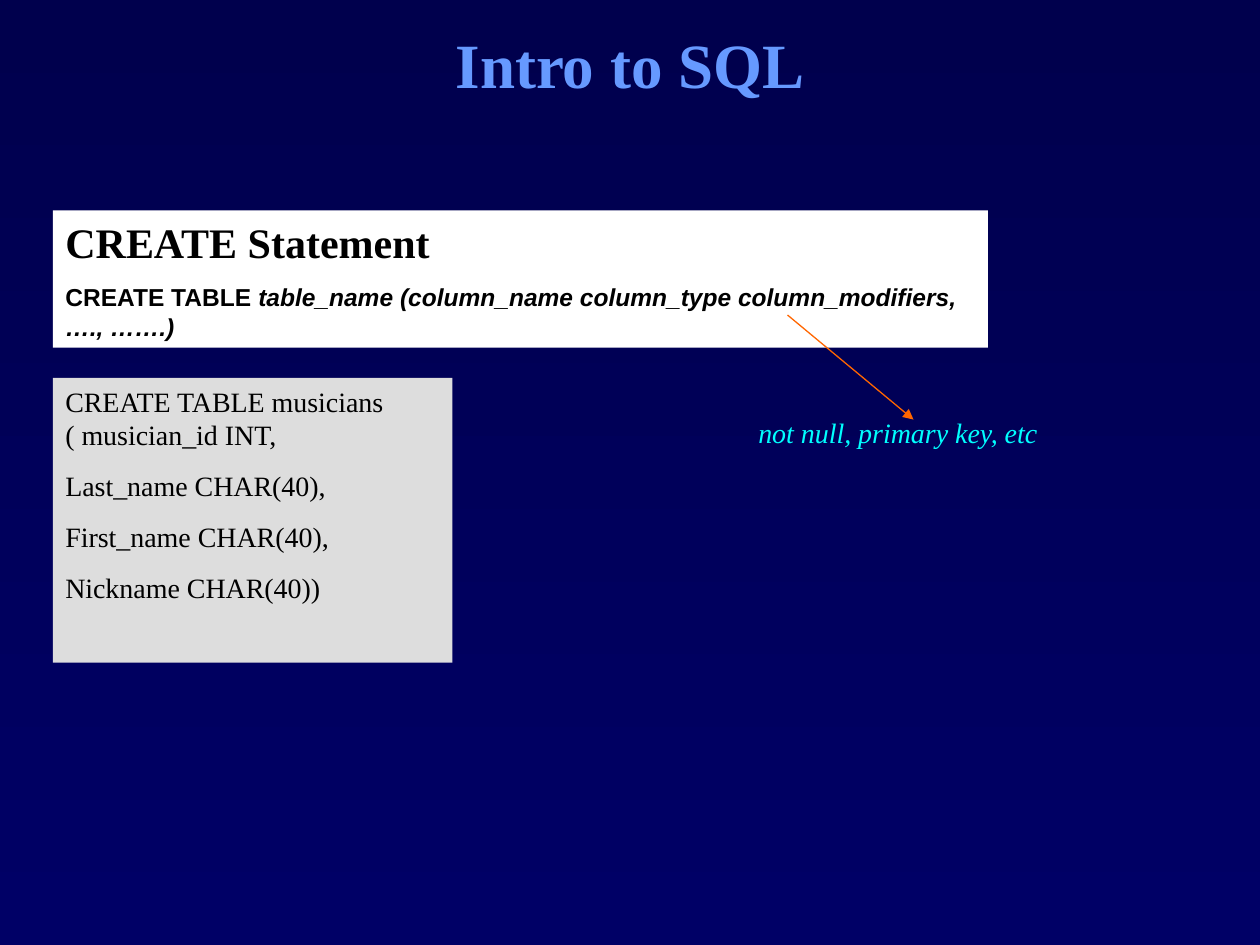
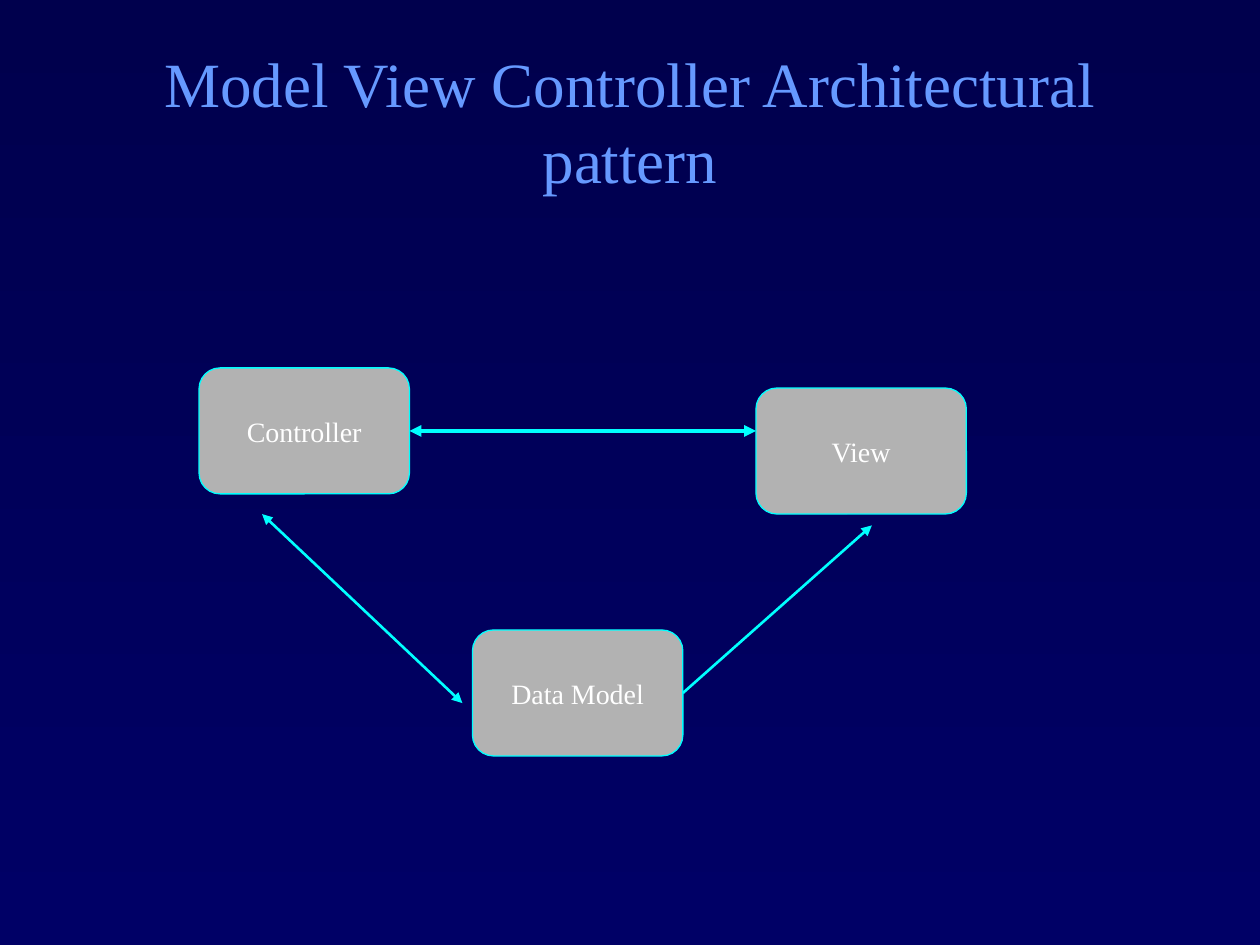
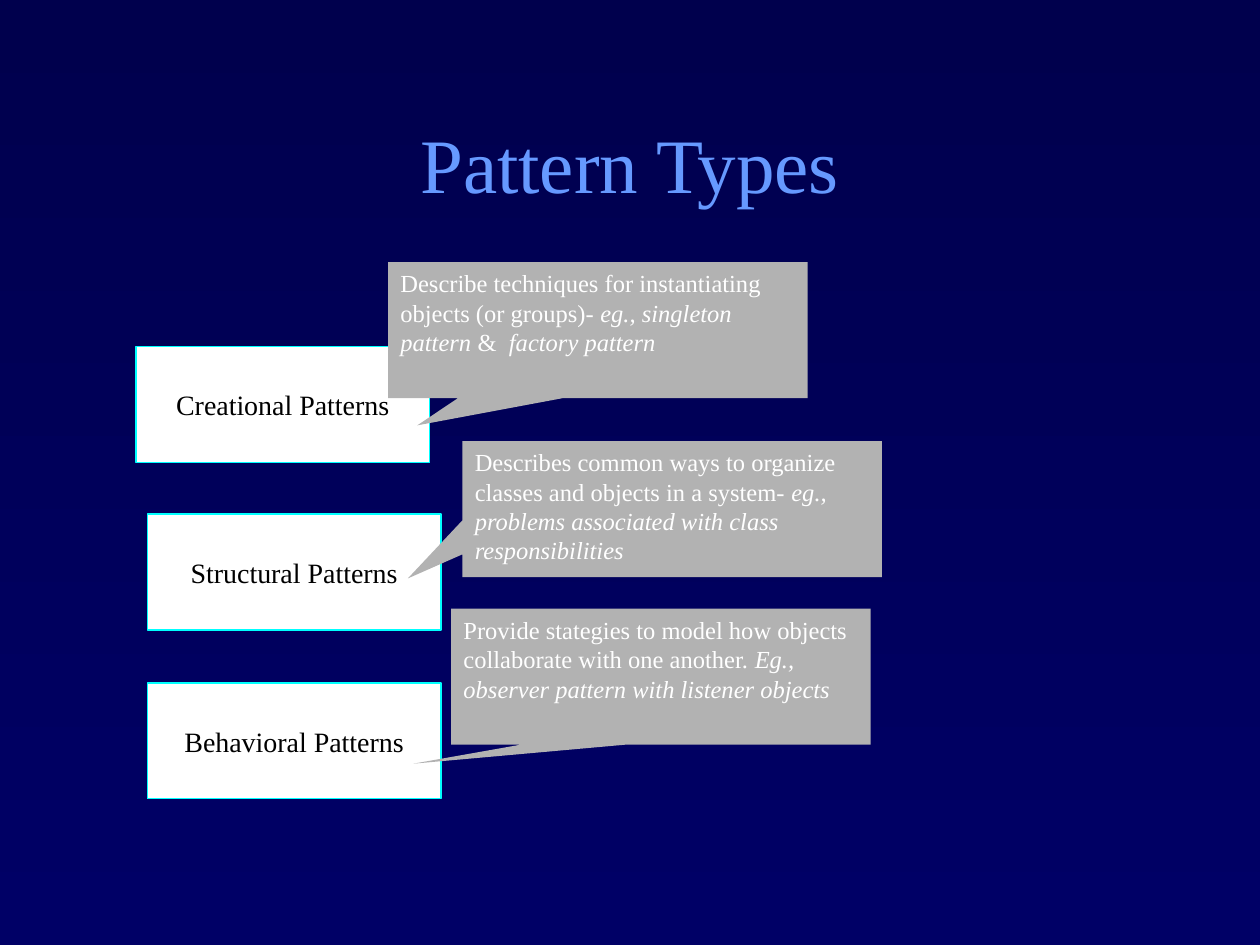
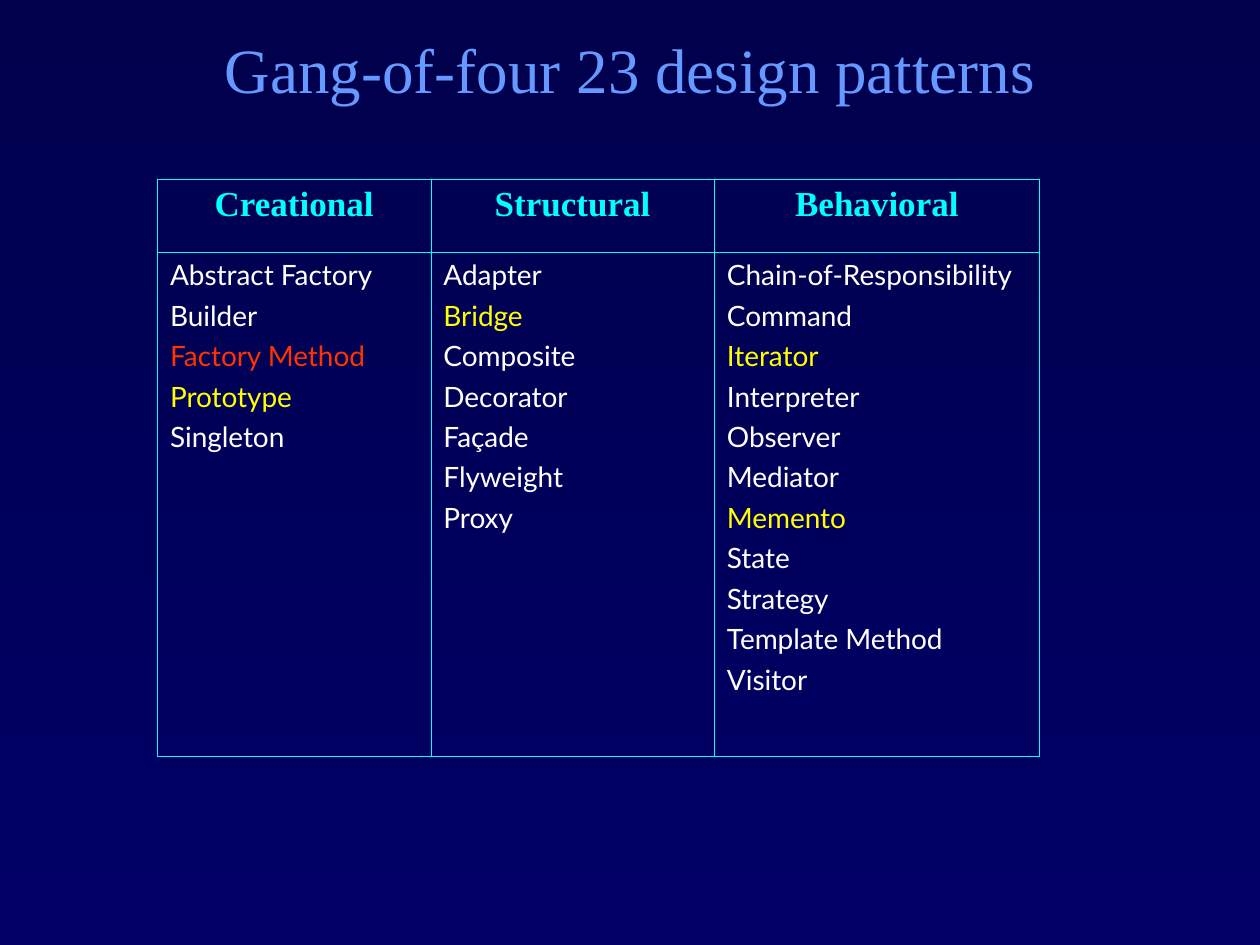
import pptx
import pptx.dml.color
import pptx.enum.shapes
import pptx.enum.text
import pptx.oxml
import pptx.oxml.ns
import pptx.util
from lxml import etree

Inches = pptx.util.Inches
Pt = pptx.util.Pt
Shape = pptx.enum.shapes.MSO_SHAPE
Align = pptx.enum.text.PP_ALIGN
Anchor = pptx.enum.text.MSO_ANCHOR
qn = pptx.oxml.ns.qn

COLORS = {
    "top": "00004D",
    "base": "000066",
    "title": "6699FF",
    "cyan": "00FFFF",
    "white": "FFFFFF",
    "black": "000000",
    "pale": "DDDDDD",
    "gray": "B2B2B2",
    "orange": "FF6600",
    "red": "FF3300",
    "yellow": "FFFF00",
}
SERIF = "Times New Roman"


def rgb(name):
    return pptx.dml.color.RGBColor.from_string(COLORS[name])


class Deck:
    def __init__(self):
        self.show = pptx.Presentation()
        self.show.slide_width = Inches(10)
        self.show.slide_height = Inches(7.5)
        self.slide = None
        fill = self.show.slide_master.background.fill
        fill.gradient()
        fill.gradient_angle = 270
        for stop, name in zip(fill.gradient_stops, ("top", "base")):
            stop.color.rgb = rgb(name)

    def start(self, text, top, height, size=36, bold=False):
        self.slide = self.show.slides.add_slide(self.show.slide_layouts[5])
        title = self.slide.shapes.title
        title.left, title.top = Inches(0.75), Inches(top)
        title.width, title.height = Inches(8.5), Inches(height)
        frame = self.frame(title, Anchor.MIDDLE)
        self.say(frame, [text], size, "title", bold=bold, align=Align.CENTER)

    def frame(self, shape, anchor=Anchor.TOP, wrap=True):
        frame = shape.text_frame
        frame.auto_size = pptx.enum.text.MSO_AUTO_SIZE.NONE
        frame.word_wrap = wrap
        frame.vertical_anchor = anchor
        return frame

    def say(self, frame, parts, size, color, face=SERIF, bold=False,
            italic=False, align=Align.LEFT, before=0):
        par = frame.paragraphs[0]
        if par.runs:
            par = frame.add_paragraph()
        par.alignment = align
        par.space_before = Pt(before)
        par.font.name, par.font.size = face, Pt(size)
        par.font.bold, par.font.italic = bold, italic
        par.font.color.rgb = rgb(color)
        for spot, text in enumerate(parts):
            run = par.add_run()
            run.text = text
            if len(parts) > 1:
                run.font.italic = spot % 2 == 1

    def shape(self, kind, left, top, width, height, fill, line=None):
        shape = self.slide.shapes.add_shape(
            kind, Inches(left), Inches(top), Inches(width), Inches(height))
        shape.shadow.inherit = False
        shape.fill.solid()
        shape.fill.fore_color.rgb = rgb(fill)
        if line:
            shape.line.color.rgb = rgb(line)
            shape.line.width = Pt(0.75)
        else:
            shape.line.fill.background()
        return shape

    def panel(self, left, top, width, height, fill):
        return self.frame(
            self.shape(Shape.RECTANGLE, left, top, width, height, fill))

    def node(self, kind, text, left, top, width, height, fill, color):
        shape = self.shape(kind, left, top, width, height, fill, "cyan")
        frame = self.frame(shape, Anchor.MIDDLE, False)
        self.say(frame, [text], 16, color, align=Align.CENTER)
        return shape

    def callout(self, parts, left, top, tip):
        shape = self.shape(
            Shape.RECTANGULAR_CALLOUT, left, top, 3.33, 1.08, "gray")
        for spot, value in enumerate(tip):
            shape.adjustments[spot] = value
        self.say(self.frame(shape), parts, 14, "white")

    def label(self, text, left, top, width, height):
        box = self.slide.shapes.add_textbox(
            Inches(left), Inches(top), Inches(width), Inches(height))
        self.say(self.frame(box), [text], 16, "cyan", italic=True, before=10)

    def arrow(self, start, end, color, width, both=False, source=None):
        line = self.slide.shapes.add_connector(
            pptx.enum.shapes.MSO_CONNECTOR.STRAIGHT,
            *(Inches(value) for value in (*start, *end)))
        if source is not None:
            line.begin_connect(source, 3)
        line.line.color.rgb = rgb(color)
        line.line.width = Pt(width)
        props = line._element.spPr
        stroke = props.get_or_add_ln()
        for tag in ("a:headEnd", "a:tailEnd") if both else ("a:tailEnd",):
            etree.SubElement(stroke, qn(tag), type="triangle")
        etree.SubElement(props, qn("a:effectLst"))

    def border(self, cell):
        props = cell._tc.get_or_add_tcPr()
        for side in "LRTB":
            line = etree.SubElement(props, qn("a:ln" + side), w=str(Pt(0.45)))
            fill = etree.SubElement(line, qn("a:solidFill"))
            etree.SubElement(fill, qn("a:srgbClr"), val=COLORS["cyan"])

    def table(self, groups, marks, left, top, widths, heights):
        table = self.slide.shapes.add_table(
            2, len(groups), Inches(left), Inches(top),
            Inches(sum(widths)), Inches(sum(heights))).table
        table.first_row = table.horz_banding = False
        for row, height in zip(table.rows, heights):
            row.height = Inches(height)
        for spot, (head, names) in enumerate(groups.items()):
            table.columns[spot].width = Inches(widths[spot])
            for row in range(2):
                cell = table.cell(row, spot)
                self.border(cell)
                cell.fill.background()
            self.say(table.cell(0, spot).text_frame, [head], 20, "cyan",
                     bold=True, align=Align.CENTER, before=5)
            for name in names:
                self.say(table.cell(1, spot).text_frame, [name], 16,
                         marks.get(name, "white"), "Lato", before=4)


def sql(deck):
    deck.start("Intro to SQL", 0.17, 0.67, bold=True)
    frame = deck.panel(0.42, 1.67, 7.42, 1.09, "white")
    deck.say(frame, ["CREATE Statement"], 24, "black", bold=True, before=15)
    deck.say(frame, [
        "CREATE TABLE ",
        "table_name (column_name column_type column_modifiers, …., …….)",
    ], 14, "black", "Arial", bold=True, before=8.8)
    frame = deck.panel(0.42, 3, 3.17, 2.26, "pale")
    for text in ("CREATE TABLE musicians ( musician_id INT,",
                 "Last_name CHAR(40),",
                 "First_name CHAR(40),",
                 "Nickname CHAR(40))"):
        deck.say(frame, [text], 16, "black", before=10)
    deck.label("not null, primary key, etc", 5.92, 3.25, 3.83, 0.37)
    deck.arrow((6.25, 2.5), (7.25, 3.33), "orange", 0.75)


def mvc(deck):
    deck.start("Model View Controller Architectural pattern", 0.33, 1.25)
    control, model, _ = [
        deck.node(Shape.ROUNDED_RECTANGLE, text, left, top, 1.67, 1,
                  "gray", "white")
        for text, left, top in (("Controller", 1.58, 2.92),
                                ("Data Model", 3.75, 5),
                                ("View", 6, 3.08))]
    deck.arrow((3.25, 3.42), (6, 3.42), "cyan", 2.25, True, control)
    deck.arrow((5.42, 5.5), (6.92, 4.17), "cyan", 1.5, source=model)
    deck.arrow((2.08, 4.08), (3.67, 5.58), "cyan", 1.5, True)


def kinds(deck):
    deck.start("Pattern Types", 0.67, 1.25, 44)
    for text, left, top in (("Creational Patterns", 1.08, 2.75),
                            ("Structural Patterns", 1.17, 4.08),
                            ("Behavioral Patterns", 1.17, 5.42)):
        deck.node(Shape.RECTANGLE, text, left, top, 2.33, 0.92,
                  "white", "black")
    deck.callout(
        ["Describe techniques for instantiating objects (or groups)- ",
         "eg., singleton pattern ", "&  ", "factory pattern"],
        3.08, 2.08, (-0.43, 0.7))
    deck.callout(
        ["Describes common ways to organize classes and objects in a system- ",
         "eg., problems associated with class responsibilities"],
        3.67, 3.5, (-0.63, 0.51))
    deck.callout(
        ["Provide stategies to model how objects collaborate with one another. ",
         "Eg., observer pattern with listener objects"],
        3.58, 4.83, (-0.59, 0.64))


def gang(deck):
    deck.start("Gang-of-four 23 design patterns", 0.17, 0.75)
    groups = {
        "Creational": ["Abstract Factory", "Builder", "Factory Method",
                       "Prototype", "Singleton"],
        "Structural": ["Adapter", "Bridge", "Composite", "Decorator",
                       "Façade", "Flyweight", "Proxy"],
        "Behavioral": ["Chain-of-Responsibility", "Command", "Iterator",
                       "Interpreter", "Observer", "Mediator", "Memento",
                       "State", "Strategy", "Template Method", "Visitor"],
    }
    marks = dict.fromkeys(
        ["Prototype", "Bridge", "Iterator", "Memento"], "yellow")
    marks["Factory Method"] = "red"
    deck.table(groups, marks, 1.25, 1.42, (2.17, 2.25, 2.58), (0.58, 4))


def main():
    deck = Deck()
    for build in (sql, mvc, kinds, gang):
        build(deck)
    deck.show.save("out.pptx")


if __name__ == "__main__":
    main()
